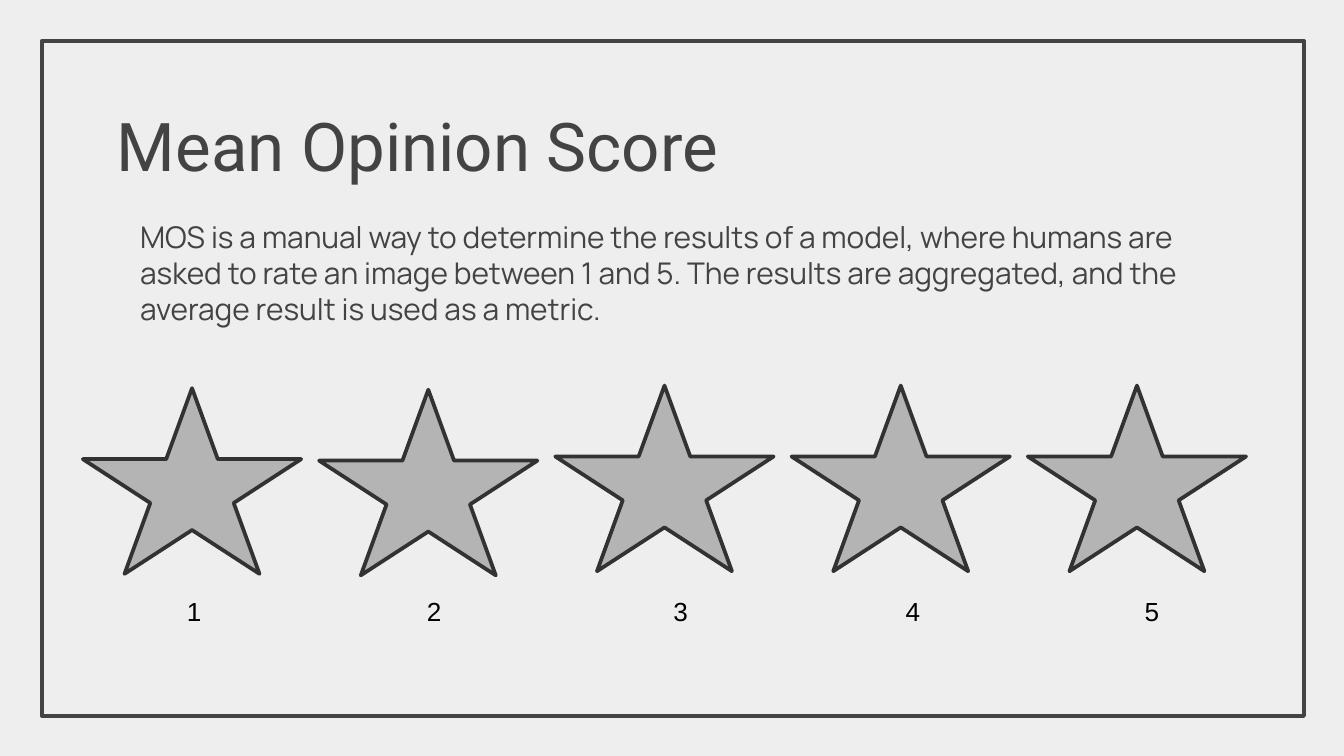
from pptx import Presentation
from pptx.dml.color import RGBColor
from pptx.enum.shapes import MSO_SHAPE as Shape
from pptx.enum.text import MSO_ANCHOR as Anchor
from pptx.util import Pt
from pptx.oxml.ns import qn
from lxml.etree import SubElement


def color(value):
    return RGBColor.from_string(value)


def add_text(left, top, width, height, text, font, size, ink, inset):
    box = slide.shapes.add_textbox(Pt(left), Pt(top), Pt(width), Pt(height))
    frame = box.text_frame
    frame.word_wrap = True
    frame.margin_left = frame.margin_right = Pt(7.2)
    frame.margin_top = frame.margin_bottom = Pt(inset)
    frame.text = text
    for run in frame.paragraphs[0].runs:
        run.font.name = font
        run.font.size = Pt(size)
        run.font.color.rgb = color(ink)
    return frame


presentation = Presentation()
presentation.slide_width = Pt(720)
presentation.slide_height = Pt(405)
slide = presentation.slides.add_slide(presentation.slide_layouts[6])
slide.background.fill.solid()
slide.background.fill.fore_color.rgb = color("EEEEEE")

border = slide.shapes.add_shape(Shape.RECTANGLE, Pt(22.5), Pt(22), Pt(676), Pt(361.5))
border.shadow.inherit = False
border.fill.background()
border.line.color.rgb = color("434343")
border.line.width = Pt(2.25)

body = add_text(
    56, 110, 585.5, 238.5,
    "MOS is a manual way to determine the results of a model, where humans are "
    "asked to rate an image between 1 and 5. The results are aggregated, and the "
    "average result is used as a metric.",
    "Manrope", 16, "434343", 7.2)
properties = body.paragraphs[0]._p.get_or_add_pPr()
properties.set("marL", str(Pt(12)))
properties.set("indent", "0")

title = add_text(55.5, 48.5, 569.5, 58, "Mean Opinion Score", "Roboto", 36, "434343", 7.2)
title.vertical_anchor = Anchor.BOTTOM

for index, top in enumerate([208, 208.8, 206.6, 206.6, 206.6]):
    star = slide.shapes.add_shape(
        Shape.STAR_5_POINT, Pt(44.4 + 126.55 * index), Pt(top), Pt(117), Pt(99.5))
    star.shadow.inherit = False
    star.fill.solid()
    star.fill.fore_color.rgb = color("B4B4B4")
    star.line.color.rgb = color("323232")
    star.line.width = Pt(2)

scores = add_text(62, 315.5, 597.5, 24.5, "\t1\t2\t3\t4\t5", "Arial", 14, "000000", 3.6)
tabs = SubElement(scores.paragraphs[0]._p.get_or_add_pPr(), qn("a:tabLst"))
for position in [35, 163.5, 295.5, 420, 548]:
    SubElement(tabs, qn("a:tab"), pos=str(Pt(position)), algn="ctr")

presentation.save("out.pptx")
